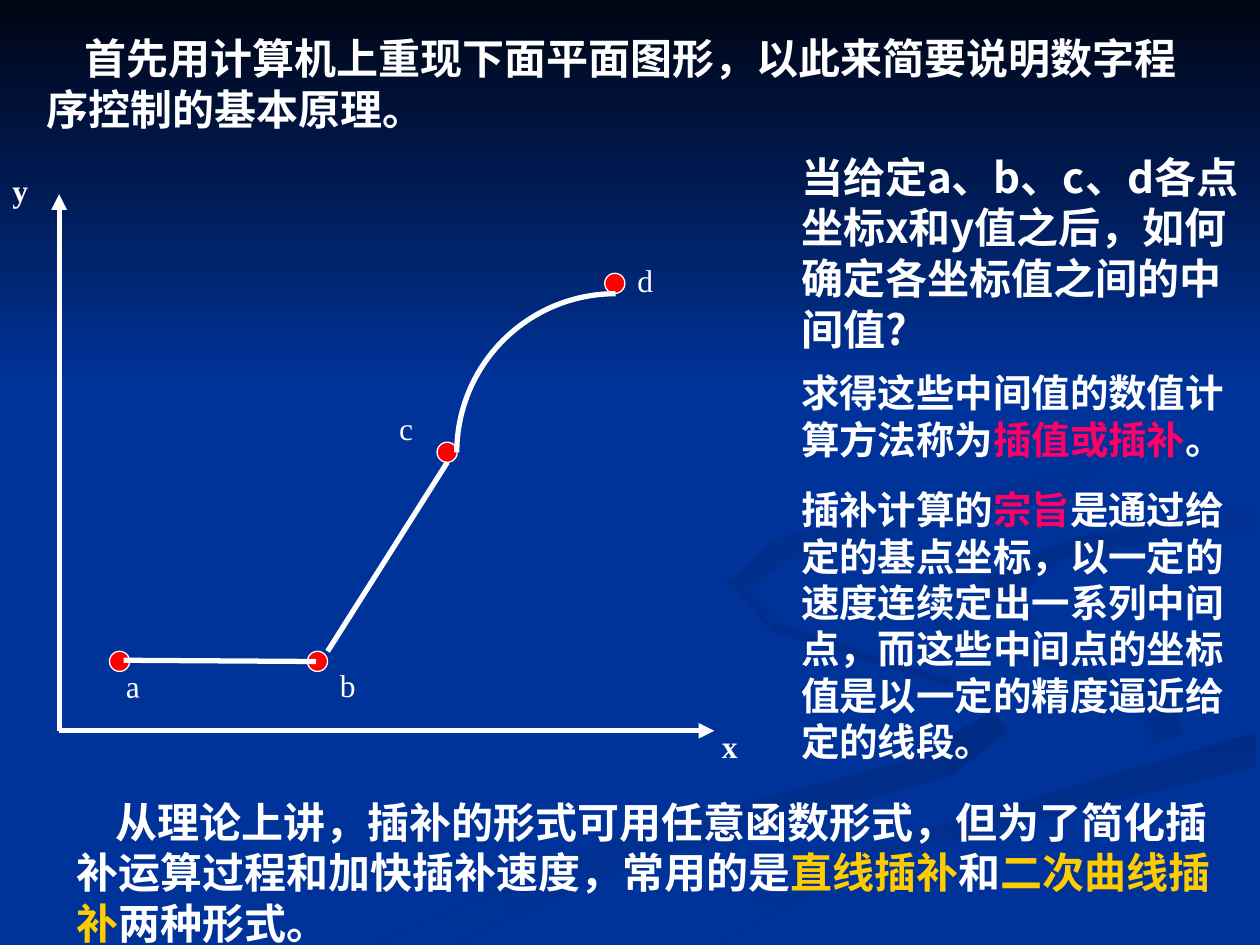
"""Build a slide that explains interpolation in digital program control."""
from dataclasses import dataclass

from lxml import etree
from pptx import Presentation
from pptx import util as u
from pptx.dml import color
from pptx.enum import shapes, text
from pptx.oxml import ns


@dataclass(frozen=True)
class Theme:
    white: str = "FFFFFF"
    blue: str = "003399"
    deep: str = "002C85"
    night: str = "000514"
    red: str = "FF0000"
    pink: str = "FF0066"
    gold: str = "FFCC00"
    cjk: str = "Noto Sans CJK SC"
    roman: str = "Times New Roman"
    label: int = 18
    small: int = 22
    large: int = 24


T = Theme()
Pt, rgb = u.Pt, color.RGBColor.from_string

deck = Presentation()
deck.slide_width, deck.slide_height = Pt(720), Pt(540)
slide = deck.slides.add_slide(deck.slide_layouts[6])
slide.background.fill.solid()
slide.background.fill.fore_color.rgb = rgb(T.blue)
items = slide.shapes


def paint(shape, first, last, angle):
    shape.shadow.inherit = False
    shape.line.fill.background()
    shape.fill.gradient()
    shape.fill.gradient_angle = angle
    for stop, tone in zip(shape.fill.gradient_stops, (first, last)):
        stop.color.rgb = rgb(tone)


def write(box, paras, size, face, bold=True, pitch=None, indent=0):
    area = items.add_textbox(*map(Pt, box))
    frame = area.text_frame
    frame.word_wrap = True
    for row, parts in enumerate(paras):
        para = frame.add_paragraph() if row else frame.paragraphs[0]
        if row:
            para.space_before = Pt(13.8)
        if pitch:
            para.line_spacing = Pt(pitch)
        if indent:
            para._p.get_or_add_pPr().set("indent", str(Pt(indent)))
        for words, tone in parts:
            run = para.add_run()
            run.text = words
            font = run.font
            font.size, font.bold, font.name = Pt(size), bold, face
            font.color.rgb = rgb(tone)
            east = etree.SubElement(run._r.get_or_add_rPr(), ns.qn("a:ea"))
            east.set("typeface", T.cjk)
    return area


swirls = [
    (T.deep, T.blue, 180, [
        (562, 398), (442, 361), (414, 330), (440, 355), (548, 390), (566, 407),
        (514, 436), (359, 476), (216, 539), (260, 539), (359, 494), (544, 443),
        (576, 418)]),
    (T.deep, T.blue, 225, [
        (679, 410), (652, 389), (537, 353), (521, 334), (537, 360), (642, 395),
        (660, 421), (644, 436), (677, 418)]),
    (T.deep, T.blue, 270, [
        (362, 539), (411, 539), (500, 491), (718, 438), (718, 418), (550, 466),
        (431, 508)]),
    (T.blue, T.blue, 0, [
        (522, 334), (546, 359), (670, 398), (677, 420), (478, 481), (343, 539),
        (374, 538), (501, 482), (719, 418), (719, 387), (579, 353), (563, 332),
        (592, 312), (719, 289), (719, 279), (582, 300)]),
    (T.blue, T.deep, 135, [
        (562, 331), (569, 344), (595, 357), (580, 341), (607, 319), (718, 302),
        (718, 289), (611, 308)]),
    (T.blue, T.deep, 135, [
        (492, 310), (616, 281), (643, 248), (622, 210), (549, 168), (626, 215),
        (638, 248), (613, 269), (443, 308), (416, 333), (448, 360), (427, 338),
        (449, 320)]),
]
for first, last, angle, dots in swirls:
    path = items.build_freeform(*dots[0], scale=Pt(1))
    path.add_line_segments(dots[1:], close=True)
    paint(path.convert_to_shape(), first, last, angle)

sky = items.add_shape(shapes.MSO_SHAPE.RECTANGLE, 0, 0, Pt(720), Pt(221.8))
paint(sky, T.night, T.blue, 270)

for left, top in ((62.6, 372.2), (175.7, 372.2), (249.8, 252.7), (345.6, 156.2)):
    dot = items.add_shape(shapes.MSO_SHAPE.OVAL, Pt(left), Pt(top), Pt(11.5), Pt(11.5))
    dot.shadow.inherit = False
    dot.fill.solid()
    dot.fill.fore_color.rgb = rgb(T.red)
    dot.line.color.rgb = rgb(T.white)
    dot.line.width = Pt(0.75)

lines = [
    (33.8, 417.6, 33.8, 110.9, True),
    (33.8, 417.6, 408.2, 417.6, True),
    (70.6, 377.3, 180.7, 378, False),
    (187.2, 372.2, 255.6, 264.2, False),
]
for *ends, axis in lines:
    line = items.add_connector(shapes.MSO_CONNECTOR.STRAIGHT, *map(Pt, ends))
    line.line.color.rgb = rgb(T.white)
    line.line.width = Pt(3)
    if axis:
        tip = etree.SubElement(line.line._get_or_add_ln(), ns.qn("a:tailEnd"))
        tip.set("type", "triangle")
    etree.SubElement(line._element.spPr, ns.qn("a:effectLst"))

arc = items.add_shape(shapes.MSO_SHAPE.ARC, Pt(261), Pt(167.8), Pt(181.4), Pt(181.4))
arc.rotation = 270
arc.shadow.inherit = False
arc.fill.background()
arc.line.color.rgb = rgb(T.white)
arc.line.width = Pt(3)

labels = [
    ("x", 405.4, 411.8, True, 0), ("y", 0, 94.3, True, 0),
    ("a", 64.8, 377.3, False, 357.7), ("b", 187.2, 377.3, False, 0),
    ("c", 221, 230.4, False, 0), ("d", 357.1, 145.4, False, 0),
]
for name, left, top, bold, turn in labels:
    label = write((left, top, 28, 28.8), [[(name, T.white)]], T.label, T.roman, bold)
    label.rotation = turn

write((450.7, 82.8, 269.3, 122.4), [
    [("当给定a、b、c、d各点坐标x和y值之后，如何确定各坐标值之间的中间值?", T.white)],
], T.large, T.cjk, pitch=28.9)
write((450.7, 207.4, 269.3, 232.6), [
    [("求得这些中间值的数值计算方法称为", T.white), ("插值或插补", T.pink), ("。", T.white)],
    [("插补计算的", T.white), ("宗旨", T.pink),
     ("是通过给定的基点坐标，以一定的速度连续定出一系列中间点，"
      "而这些中间点的坐标值是以一定的精度逼近给定的线段。", T.white)],
], T.small, T.roman, pitch=26.5)
write((36.7, 451.4, 668.9, 93.6), [
    [("从理论上讲，插补的形式可用任意函数形式，"
      "但为了简化插补运算过程和加快插补速度，常用的是", T.white),
     ("直线插补", T.gold), ("和", T.white), ("二次曲线插补", T.gold),
     ("两种形式。", T.white)],
], T.large, T.cjk, pitch=28.9, indent=22)
write((19.4, 15.1, 668.9, 64.8), [
    [("首先用计算机上重现下面平面图形，以此来简要说明数字程序控制的基本原理。", T.white)],
], T.large, T.cjk, pitch=28.9, indent=22)

deck.save("out.pptx")
